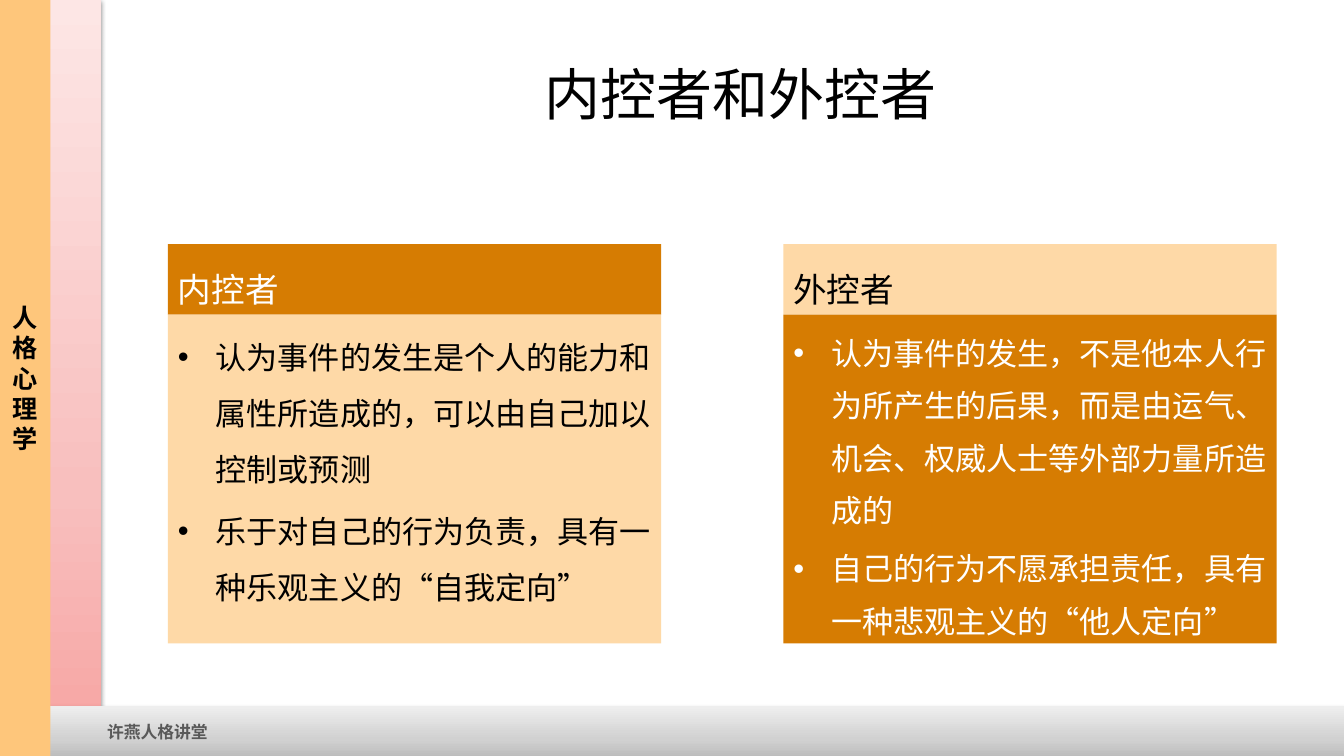
from pptx import Presentation
from pptx.dml.color import RGBColor
from pptx.enum.lang import MSO_LANGUAGE_ID
from pptx.enum.shapes import MSO_SHAPE
from pptx.enum.text import MSO_ANCHOR, MSO_AUTO_SIZE, PP_ALIGN
from pptx.oxml.ns import qn
from pptx.util import Cm, Pt
from lxml.etree import SubElement

CJK = "Noto Sans CJK SC"
ORANGE, PEACH = "D67C02", "FED9A7"
BLACK, WHITE = "000000", "FFFFFF"
TITLE = "内控者和外控者"
SIDE = "人格心理学"
FOOT = "许燕人格讲堂"
PINKS = [(0, "F7A3A1"), (35, "F8BFBE"), (100, "FDE6E5")]
GRAYS = [(0, "BDBDBD"), (35, "D1D1D1"), (100, "EEEEEE")]
PANELS = [
    {
        "left": 4.23, "head": "内控者", "space": 1.5,
        "fills": (ORANGE, PEACH), "inks": (WHITE, BLACK),
        "items": [
            "认为事件的发生是个人的能力和属性所造成的，可以由自己加以控制或预测",
            "乐于对自己的行为负责，具有一种乐观主义的“自我定向”",
        ],
    },
    {
        "left": 19.74, "head": "外控者", "space": 1.4,
        "fills": (PEACH, ORANGE), "inks": (BLACK, WHITE),
        "items": [
            "认为事件的发生，不是他本人行为所产生的后果，而是由运气、机会、权威人士等外部力量所造成的",
            "自己的行为不愿承担责任，具有一种悲观主义的“他人定向”",
        ],
    },
]
WIDE, HIGH = 33.87, 19.05
BAR = 1.27
TOP, HEAD, BODY, PANEL = 6.15, 1.78, 8.28, 12.43


def color(code):
    return RGBColor.from_string(code)


def place(shape, left, top, width, height):
    shape.left, shape.top = Cm(left), Cm(top)
    shape.width, shape.height = Cm(width), Cm(height)


def paint(shape, code):
    shape.fill.solid()
    shape.fill.fore_color.rgb = color(code)


def write(shape, lines, size, ink, face, bold=False):
    frame = shape.text_frame
    frame.text = "\n".join(lines)
    frame.word_wrap = True
    frame.auto_size = MSO_AUTO_SIZE.NONE
    for para in frame.paragraphs:
        for run in para.runs:
            font = run.font
            font.size, font.bold, font.name = Pt(size), bold, face
            font.color.rgb = color(ink)
            font.language_id = MSO_LANGUAGE_ID.SIMPLIFIED_CHINESE
            latin = run._r.rPr.find(qn("a:latin"))
            east = latin.makeelement(qn("a:ea"), {"typeface": CJK})
            latin.addnext(east)
    return frame


def add_bar(slide, left, top, width, height):
    bar = slide.shapes.add_shape(
        MSO_SHAPE.RECTANGLE, Cm(left), Cm(top), Cm(width), Cm(height))
    bar.shadow.inherit = False
    bar.line.fill.background()
    return bar


def shade(bar, stops):
    bar.fill.gradient()
    bar.fill.gradient_angle = 90
    props = bar._element.spPr
    group = props.find(".//" + qn("a:gsLst"))
    for stop in list(group):
        group.remove(stop)
    for spot, code in stops:
        stop = SubElement(group, qn("a:gs"), pos=str(spot * 1000))
        SubElement(stop, qn("a:srgbClr"), val=code)
    cast = SubElement(
        props.find(qn("a:effectLst")), qn("a:outerShdw"),
        blurRad=str(Pt(3.1)), dist=str(Pt(1.6)), dir="5400000", rotWithShape="0")
    tone = SubElement(cast, qn("a:srgbClr"), val=BLACK)
    SubElement(tone, qn("a:alpha"), val="38000")


def add_frame(slide):
    pink = add_bar(slide, BAR, 0, BAR, HIGH)
    shade(pink, PINKS)

    foot = add_bar(slide, 0, 17.8, WIDE, BAR)
    shade(foot, GRAYS)
    frame = write(foot, [FOOT], 12, "595959", CJK, True)
    frame.margin_left = Cm(2.7)
    frame.vertical_anchor = MSO_ANCHOR.MIDDLE
    frame.paragraphs[0].alignment = PP_ALIGN.LEFT

    side = add_bar(slide, 0, 0, BAR, HIGH)
    paint(side, "FEC67B")
    frame = write(side, [SIDE], 18, BLACK, CJK, True)
    frame.vertical_anchor = MSO_ANCHOR.MIDDLE
    frame.paragraphs[0].alignment = PP_ALIGN.CENTER


def add_panel(panel, head, body):
    place(head, panel["left"], TOP, PANEL, HEAD)
    place(body, panel["left"], TOP + HEAD, PANEL, BODY)
    for shape, fill in zip((head, body), panel["fills"]):
        paint(shape, fill)
    ink, text = panel["inks"]
    frame = write(head, [panel["head"]], 24, ink, "Karla")
    frame.vertical_anchor = MSO_ANCHOR.BOTTOM
    frame = write(body, panel["items"], 22.2, text, "Arial")
    for para in frame.paragraphs:
        para.line_spacing = panel["space"]


def main():
    deck = Presentation()
    deck.slide_width, deck.slide_height = Cm(WIDE), Cm(HIGH)
    slide = deck.slides.add_slide(deck.slide_layouts[4])
    add_frame(slide)
    title, *parts = slide.placeholders
    place(title, 5.13, 0.76, 27.05, 3.18)
    frame = write(title, [TITLE], 40, BLACK, "Arial")
    frame.vertical_anchor = MSO_ANCHOR.MIDDLE
    for panel, head, body in zip(PANELS, parts[::2], parts[1::2]):
        add_panel(panel, head, body)
    deck.save("out.pptx")


if __name__ == "__main__":
    main()
